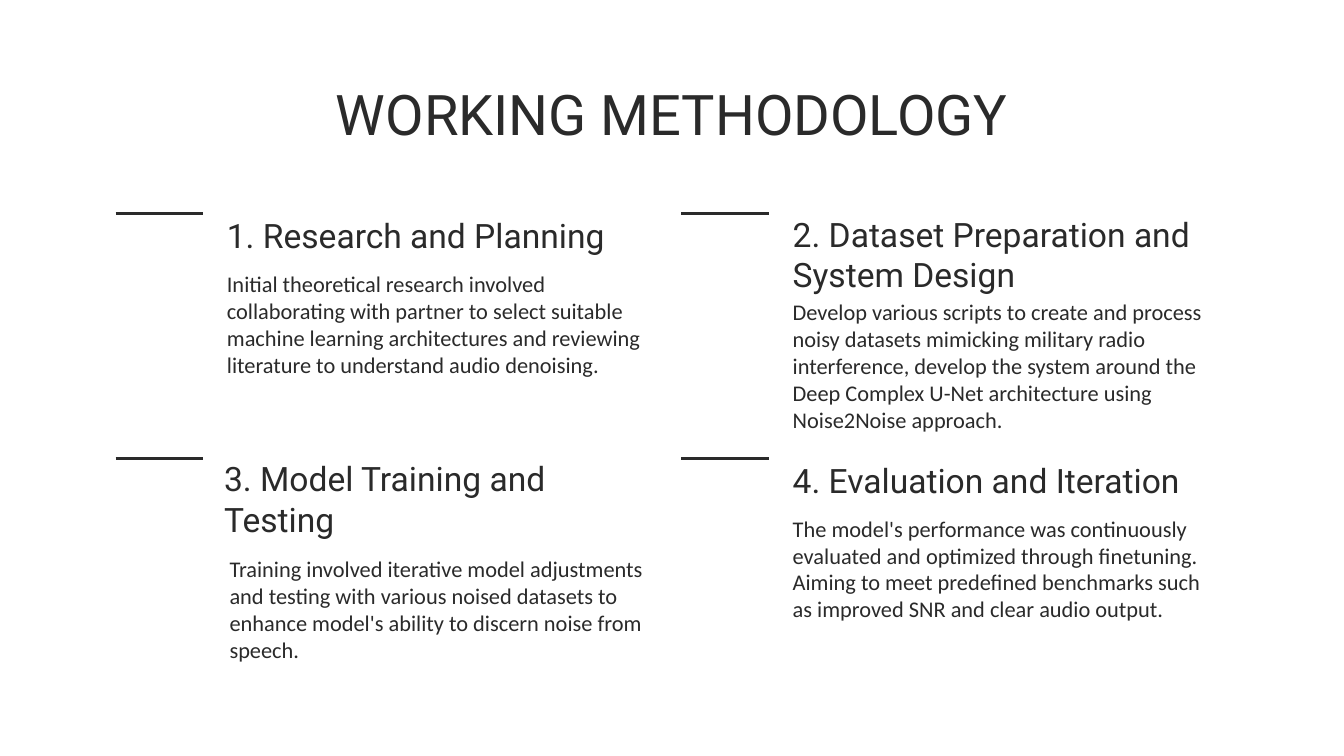
from dataclasses import dataclass

from lxml import etree
from pptx import Presentation
from pptx.dml.color import RGBColor
from pptx.enum import shapes, text
from pptx.oxml import ns
from pptx.util import Pt

INK = RGBColor(0x2A, 0x2A, 0x2A)
HEADING_FONT = "Roboto"
BODY_FONT = "Calibri"
INSET = 7.2
TEXT_WIDTH = 240.5
RULE_WIDTH = 46.8
COLUMNS = (61.9, 365)
ROWS = (114.5, 245.5)


@dataclass(frozen=True)
class Area:
    left: float
    top: float
    width: float
    height: float


@dataclass(frozen=True)
class Step:
    heading: str
    heading_area: Area
    body: str
    body_area: Area


STEPS = (
    Step(
        "1. Research and Planning",
        Area(114.5, 114.5, TEXT_WIDTH, 29.5),
        "Initial theoretical research involved collaborating with partner to select "
        "suitable machine learning architectures and reviewing literature to "
        "understand audio denoising.",
        Area(114.5, 137.5, TEXT_WIDTH, 85.7),
    ),
    Step(
        "2. Dataset Preparation and System Design",
        Area(417.6, 105.9, TEXT_WIDTH, 59),
        "Develop various scripts to create and process noisy datasets mimicking "
        "military radio interference, develop the system around the Deep Complex "
        "U-Net architecture using Noise2Noise approach.",
        Area(417.6, 152.6, TEXT_WIDTH, 85.7),
    ),
    Step(
        "3. Model Training and Testing",
        Area(113, 238.3, TEXT_WIDTH, 57.6),
        "Training involved iterative model adjustments and testing with various "
        "noised datasets to enhance model's ability to discern noise from speech.",
        Area(115.9, 290.2, TEXT_WIDTH, 69.8),
    ),
    Step(
        "4. Evaluation and Iteration",
        Area(417.6, 245.5, TEXT_WIDTH, 29.5),
        "The model's performance was continuously evaluated and optimized through "
        "finetuning. Aiming to meet predefined benchmarks such as improved SNR and "
        "clear audio output.",
        Area(417.6, 268.6, TEXT_WIDTH, 75.6),
    ),
)


def fill_box(box, wording: str, font: str, size: float,
             anchor=text.MSO_ANCHOR.TOP, align=text.PP_ALIGN.LEFT) -> None:
    frame = box.text_frame
    frame.text = wording
    frame.word_wrap = True
    frame.auto_size = text.MSO_AUTO_SIZE.NONE
    frame.vertical_anchor = anchor
    frame.margin_left = frame.margin_right = Pt(INSET)
    frame.margin_top = frame.margin_bottom = Pt(INSET)
    para = frame.paragraphs[0]
    para.alignment = align
    para.font.name = font
    para.font.size = Pt(size)
    para.font.color.rgb = INK


def place(area: Area) -> tuple:
    return Pt(area.left), Pt(area.top), Pt(area.width), Pt(area.height)


def add_step(page, step: Step) -> None:
    heading = page.shapes.add_textbox(*place(step.heading_area))
    fill_box(heading, step.heading, HEADING_FONT, 18, text.MSO_ANCHOR.BOTTOM)
    body = page.shapes.add_textbox(*place(step.body_area))
    fill_box(body, step.body, BODY_FONT, 12)


def add_rule(page, left: float, top: float) -> None:
    rule = page.shapes.add_connector(
        shapes.MSO_CONNECTOR.STRAIGHT,
        Pt(left), Pt(top), Pt(left + RULE_WIDTH), Pt(top),
    )
    rule.line.color.rgb = INK
    rule.line.width = Pt(1.5)
    etree.SubElement(rule._element.spPr, ns.qn("a:effectLst"))


def main() -> None:
    deck = Presentation()
    deck.slide_width = Pt(720)
    deck.slide_height = Pt(405)
    page = deck.slides.add_slide(deck.slide_layouts.get_by_name("Title Only"))

    title = page.shapes.title
    title.left, title.top, title.width, title.height = place(Area(56.7, 35.3, 606.6, 45.4))
    fill_box(title, "WORKING METHODOLOGY", HEADING_FONT, 30, align=text.PP_ALIGN.CENTER)

    for step in STEPS:
        add_step(page, step)
    for left in COLUMNS:
        for top in ROWS:
            add_rule(page, left, top)

    deck.save("out.pptx")


if __name__ == "__main__":
    main()
